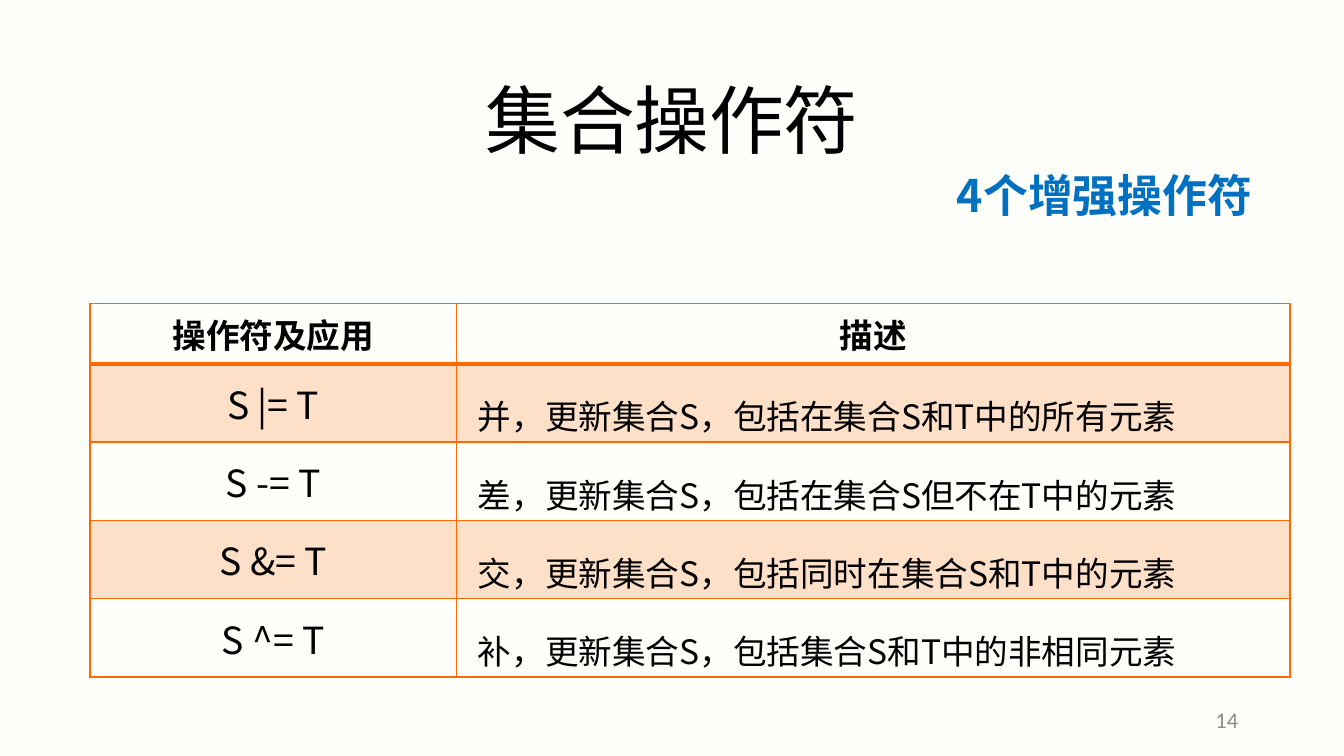
import pptx
import pptx.dml.color
import pptx.enum.text
import pptx.oxml
import pptx.oxml.ns
import pptx.util
from pptx.util import Cm

COLORS = {
    "background": "FEFEFA",
    "text": "000000",
    "accent": "FF6900",
    "subtitle": "0070C0",
    "page": "8C8C8C",
}
CJK = "Noto Sans CJK SC"
ALIGN = pptx.enum.text.PP_ALIGN
MIDDLE = pptx.enum.text.MSO_ANCHOR.MIDDLE
qn = pptx.oxml.ns.qn


def format_paragraph(paragraph, size, color="text", bold=False, align=ALIGN.CENTER,
                     spacing=None, typeface=CJK):
    paragraph.alignment = align
    paragraph.line_spacing = spacing
    font = paragraph.font
    font.size = pptx.util.Pt(size)
    font.bold = bold
    font.color.rgb = pptx.dml.color.RGBColor.from_string(COLORS[color])
    font.name = typeface
    east_asian = pptx.oxml.parse_xml(
        f'<a:ea {pptx.oxml.ns.nsdecls("a")} typeface="{typeface}"/>')
    paragraph._p.pPr.find(qn("a:defRPr")).append(east_asian)


def draw_borders(cell, widths):
    """Outline a cell; widths are points for left, right, top and bottom."""
    properties = cell._tc.get_or_add_tcPr()
    for position, (side, width) in enumerate(zip("LRTB", widths)):
        properties.insert(position, pptx.oxml.parse_xml(
            f'<a:ln{side} {pptx.oxml.ns.nsdecls("a")} w="{pptx.util.Pt(width)}">'
            f'<a:solidFill><a:srgbClr val="{COLORS["accent"]}"/></a:solidFill>'
            f'</a:ln{side}>'))


deck = pptx.Presentation()
deck.slide_width, deck.slide_height = Cm(25.4), Cm(14.29)
slide = deck.slides.add_slide(deck.slide_layouts[5])
slide.background.fill.solid()
slide.background.fill.fore_color.rgb = pptx.dml.color.RGBColor.from_string(COLORS["background"])

# Title
title = slide.shapes.title
title.left, title.top, title.width, title.height = Cm(0), Cm(1.35), Cm(25.4), Cm(2.2)
heading = title.text_frame
heading.text = "集合操作符"
heading.auto_size = pptx.enum.text.MSO_AUTO_SIZE.NONE
heading.vertical_anchor = MIDDLE
heading.margin_left = heading.margin_right = heading.margin_top = heading.margin_bottom = 0
format_paragraph(heading.paragraphs[0], 40, spacing=0.7)

# Operator table
rows = [
    ("操作符及应用", "描述"),
    ("S |= T", "并，更新集合S，包括在集合S和T中的所有元素"),
    ("S -= T", "差，更新集合S，包括在集合S但不在T中的元素"),
    ("S &= T", "交，更新集合S，包括同时在集合S和T中的元素"),
    ("S ^= T", "补，更新集合S，包括集合S和T中的非相同元素"),
]
operators = slide.shapes.add_table(
    len(rows), 2, Cm(1.7), Cm(5.74), Cm(22.68), Cm(6.02)).table
operators.first_row = operators.horz_banding = False
operators.columns[0].width, operators.columns[1].width = Cm(6.93), Cm(15.75)

for r, texts in enumerate(rows):
    operators.rows[r].height = Cm(1.14 if r == 0 else 1.22)
    for c, text in enumerate(texts):
        cell = operators.cell(r, c)
        cell.text = text
        cell.vertical_anchor = MIDDLE
        cell.margin_left = cell.margin_right = Cm(0.1)
        cell.margin_top = cell.margin_bottom = Cm(0.05)
        paragraph = cell.text_frame.paragraphs[0]
        if r == 0:
            format_paragraph(paragraph, 18, bold=True)
        elif c == 0:
            format_paragraph(paragraph, 20)
        else:
            cell.margin_left = Cm(0.4)
            format_paragraph(paragraph, 18, align=ALIGN.LEFT, spacing=1.5)
        if r % 2:
            cell.fill.solid()
            cell.fill.fore_color.rgb = pptx.dml.color.RGBColor.from_string(COLORS["accent"])
            tint = cell._tc.tcPr.find(".//" + qn("a:srgbClr"))
            tint.append(pptx.oxml.parse_xml(
                f'<a:alpha {pptx.oxml.ns.nsdecls("a")} val="20000"/>'))
        else:
            cell.fill.background()
        draw_borders(cell, (1, 1, 2 if r == 1 else 1, 2 if r == 0 else 1))

# Subtitle
subtitle = slide.shapes.add_textbox(Cm(17.7), Cm(2.54), Cm(6.35), Cm(1.63)).text_frame
subtitle.word_wrap = True
subtitle.text = "4个增强操作符"
format_paragraph(subtitle.paragraphs[0], 24, "subtitle", bold=True, spacing=1.5)

# Page number
page_number = slide.shapes.add_textbox(Cm(17.93), Cm(13.23), Cm(5.72), Cm(0.76)).text_frame
page_number.word_wrap = True
page_number.vertical_anchor = MIDDLE
page_number.text = "14"
format_paragraph(page_number.paragraphs[0], 12, "page", align=ALIGN.RIGHT, typeface="Calibri")

deck.save("out.pptx")
